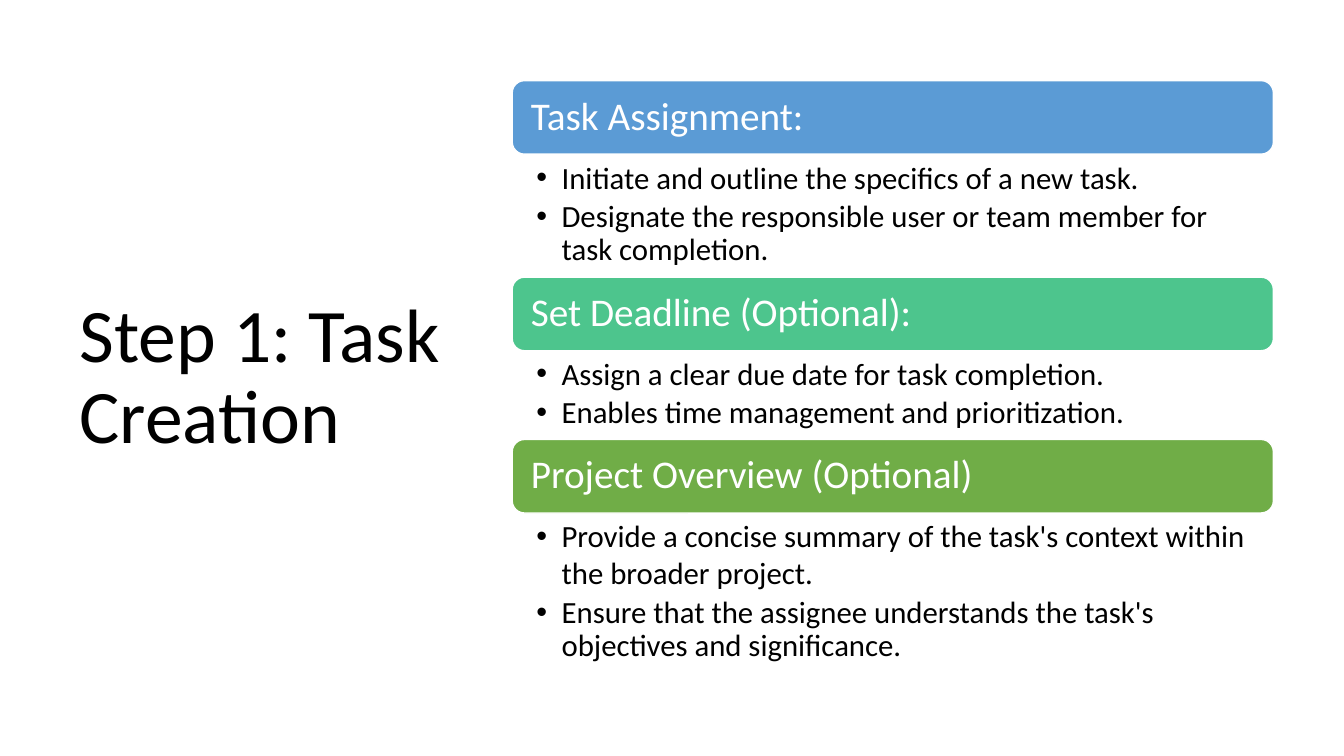
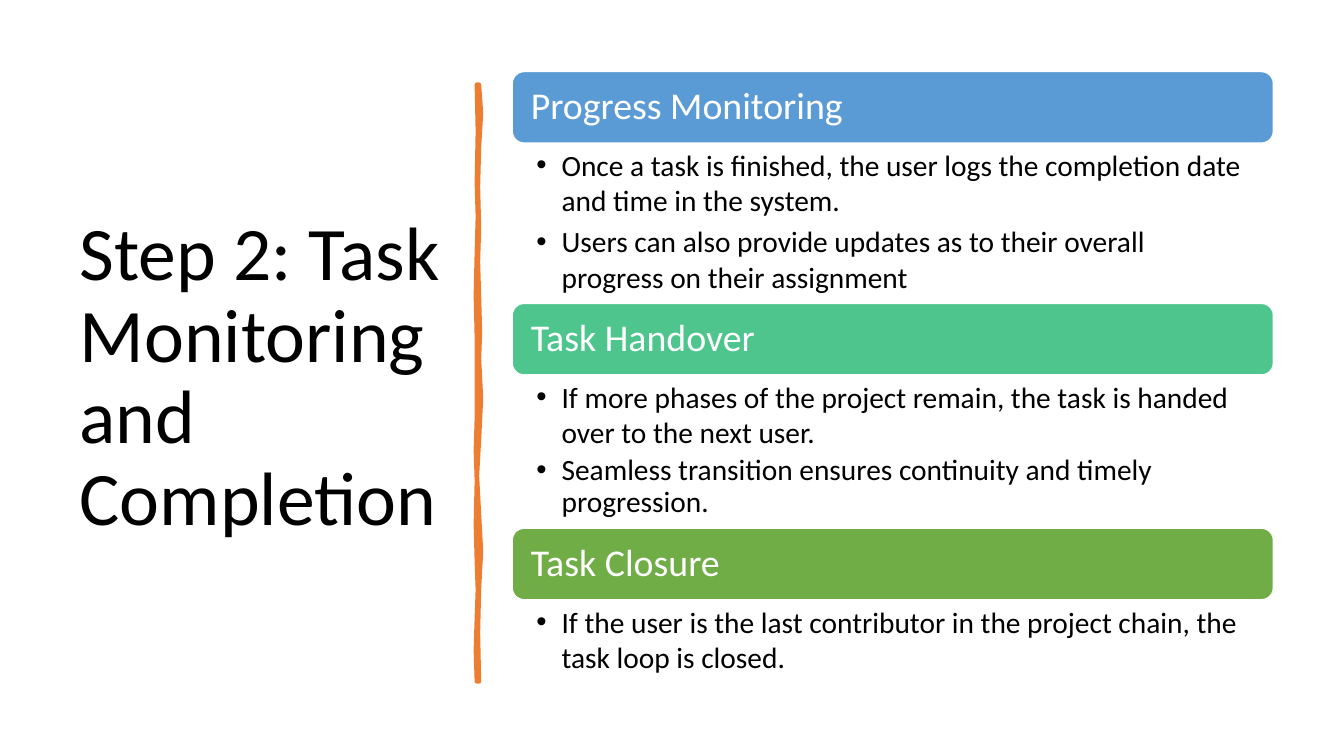
from lxml import etree
from pptx import Presentation
from pptx.dml.color import RGBColor
from pptx.enum import shapes, text
from pptx.oxml.ns import qn
from pptx.util import Inches, Pt

FONT = "Calibri"
COLORS = {
    "text": "000000",
    "white": "FFFFFF",
    "blue": "5B9BD5",
    "teal": "4DC58D",
    "green": "70AD47",
    "orange": "ED7D31",
}
BAND_COLORS = ("blue", "teal", "green")
TITLE_BOX = (0.69, 0.7, 3.74, 6.11)
PANEL_LEFT, PANEL_WIDTH = 5.08, 7.55

STROKE_TOP, STROKE_BOTTOM = 0.84, 6.76
STROKE_RIGHT = [
    (4.75, STROKE_TOP), (4.77, 1.12), (4.75, 1.46), (4.74, 1.85), (4.75, 2.26),
    (4.74, 2.6), (4.75, 2.94), (4.76, 3.3), (4.75, 3.56), (4.77, 3.95),
    (4.75, 4.36), (4.73, 4.72), (4.75, 5.1), (4.77, 5.47), (4.75, 5.84),
    (4.74, 6.28), (4.75, STROKE_BOTTOM),
]
STROKE_LEFT = [
    (4.73, STROKE_BOTTOM), (4.72, 6.45), (4.73, 6.13), (4.74, 5.85), (4.73, 5.57),
    (4.72, 5.2), (4.73, 4.77), (4.72, 4.46), (4.73, 4.15), (4.73, 3.35),
    (4.72, 2.93), (4.73, 2.5), (4.74, 2.15), (4.73, 1.81), (4.74, 1.3),
    (4.73, STROKE_TOP),
]

STEPS = [
    {
        "title": "Step 1: Task Creation",
        "top": 0.8, "band_height": 0.73, "band_size": 28, "list_size": 22,
        "divider": False,
        "sections": [
            ("Task Assignment:", 1.22, [
                ("Initiate and outline the specifics of a new task.", 1.0),
                ("Designate the responsible user or team member for task completion.", 0.9),
            ]),
            ("Set Deadline (Optional):", 0.88, [
                ("Assign a clear due date for task completion.", 1.0),
                ("Enables time management and prioritization.", 0.9),
            ]),
            ("Project Overview (Optional)", 1.58, [
                ("Provide a concise summary of the task's context within the broader project.", 1.0),
                ("Ensure that the assignee understands the task's objectives and significance.", 0.9),
            ]),
        ],
    },
    {
        "title": "Step 2: Task Monitoring and Completion",
        "top": 0.71, "band_height": 0.71, "band_size": 27, "list_size": 21,
        "divider": True,
        "sections": [
            ("Progress Monitoring", 1.59, [
                ("Once a task is finished, the user logs the completion date and time in the system.", 1.0),
                ("Users can also provide updates as to their overall progress on their assignment", 1.0),
            ]),
            ("Task Handover", 1.52, [
                ("If more phases of the project remain, the task is handed over to the next user.", 1.0),
                ("Seamless transition ensures continuity and timely progression.", 0.9),
            ]),
            ("Task Closure", 0.79, [
                ("If the user is the last contributor in the project chain, the task loop is closed.", 1.0),
            ]),
        ],
    },
]


def color(name):
    return RGBColor.from_string(COLORS[name])


def set_frame(frame, insets, anchor):
    frame.word_wrap = True
    frame.auto_size = text.MSO_AUTO_SIZE.NONE
    frame.vertical_anchor = anchor
    frame.margin_left, frame.margin_top, frame.margin_right, frame.margin_bottom = map(Inches, insets)


def format_paragraph(paragraph, size, color_name, line_spacing):
    paragraph.alignment = text.PP_ALIGN.LEFT
    paragraph.line_spacing = line_spacing
    for run in paragraph.runs:
        run.font.name = FONT
        run.font.size = Pt(size)
        run.font.color.rgb = color(color_name)


def add_bullet(paragraph):
    properties = paragraph._p.get_or_add_pPr()
    properties.set("marL", str(Inches(0.25)))
    properties.set("indent", str(Inches(-0.25)))
    etree.SubElement(properties, qn("a:buFont")).set("typeface", "Arial")
    etree.SubElement(properties, qn("a:buChar")).set("char", "•")


def place_title(slide, title_text):
    title = slide.shapes.title
    title.left, title.top, title.width, title.height = map(Inches, TITLE_BOX)
    frame = title.text_frame
    frame.text = title_text
    set_frame(frame, (0.1, 0.05, 0.06, 0.05), text.MSO_ANCHOR.MIDDLE)
    format_paragraph(frame.paragraphs[0], 54, "text", 0.9)


def add_band(slide, box, heading, size, fill_name):
    band = slide.shapes.add_shape(shapes.MSO_SHAPE.ROUNDED_RECTANGLE, *map(Inches, box))
    band.shadow.inherit = False
    band.fill.solid()
    band.fill.fore_color.rgb = color(fill_name)
    band.line.color.rgb = color("white")
    band.line.width = Pt(1)
    band.text_frame.text = heading
    set_frame(band.text_frame, (0.15, 0.05, 0.15, 0.05), text.MSO_ANCHOR.MIDDLE)
    format_paragraph(band.text_frame.paragraphs[0], size, "white", 0.9)


def add_list(slide, box, items, size):
    frame = slide.shapes.add_textbox(*map(Inches, box)).text_frame
    set_frame(frame, (0.24, 0.04, 0.22, 0.04), text.MSO_ANCHOR.TOP)
    frame.text = "\n".join(item for item, _ in items)
    for paragraph, (_, line_spacing) in zip(frame.paragraphs, items):
        format_paragraph(paragraph, size, "text", line_spacing)
        paragraph.space_after = Pt(4)
        add_bullet(paragraph)


def add_sections(slide, step):
    top = step["top"]
    band_height = step["band_height"]
    for (heading, list_height, items), fill_name in zip(step["sections"], BAND_COLORS):
        add_band(slide, (PANEL_LEFT, top, PANEL_WIDTH, band_height),
                 heading, step["band_size"], fill_name)
        top += band_height
        add_list(slide, (PANEL_LEFT, top, PANEL_WIDTH, list_height), items, step["list_size"])
        top += list_height


def add_divider(slide):
    start, *points = [(Inches(x), Inches(y)) for x, y in STROKE_RIGHT + STROKE_LEFT]
    builder = slide.shapes.build_freeform(*start)
    builder.add_line_segments(points, close=True)
    divider = builder.convert_to_shape()
    divider.shadow.inherit = False
    divider.fill.solid()
    divider.fill.fore_color.rgb = color("orange")
    divider.line.color.rgb = color("orange")
    divider.line.width = Pt(3.25)
    etree.SubElement(divider.line._get_or_add_ln(), qn("a:round"))


def add_step_slide(presentation, step):
    slide = presentation.slides.add_slide(presentation.slide_layouts[5])
    place_title(slide, step["title"])
    if step["divider"]:
        add_divider(slide)
    add_sections(slide, step)


def main():
    presentation = Presentation()
    presentation.slide_width = Inches(13.33)
    presentation.slide_height = Inches(7.5)
    for step in STEPS:
        add_step_slide(presentation, step)
    presentation.save("out.pptx")


if __name__ == "__main__":
    main()
